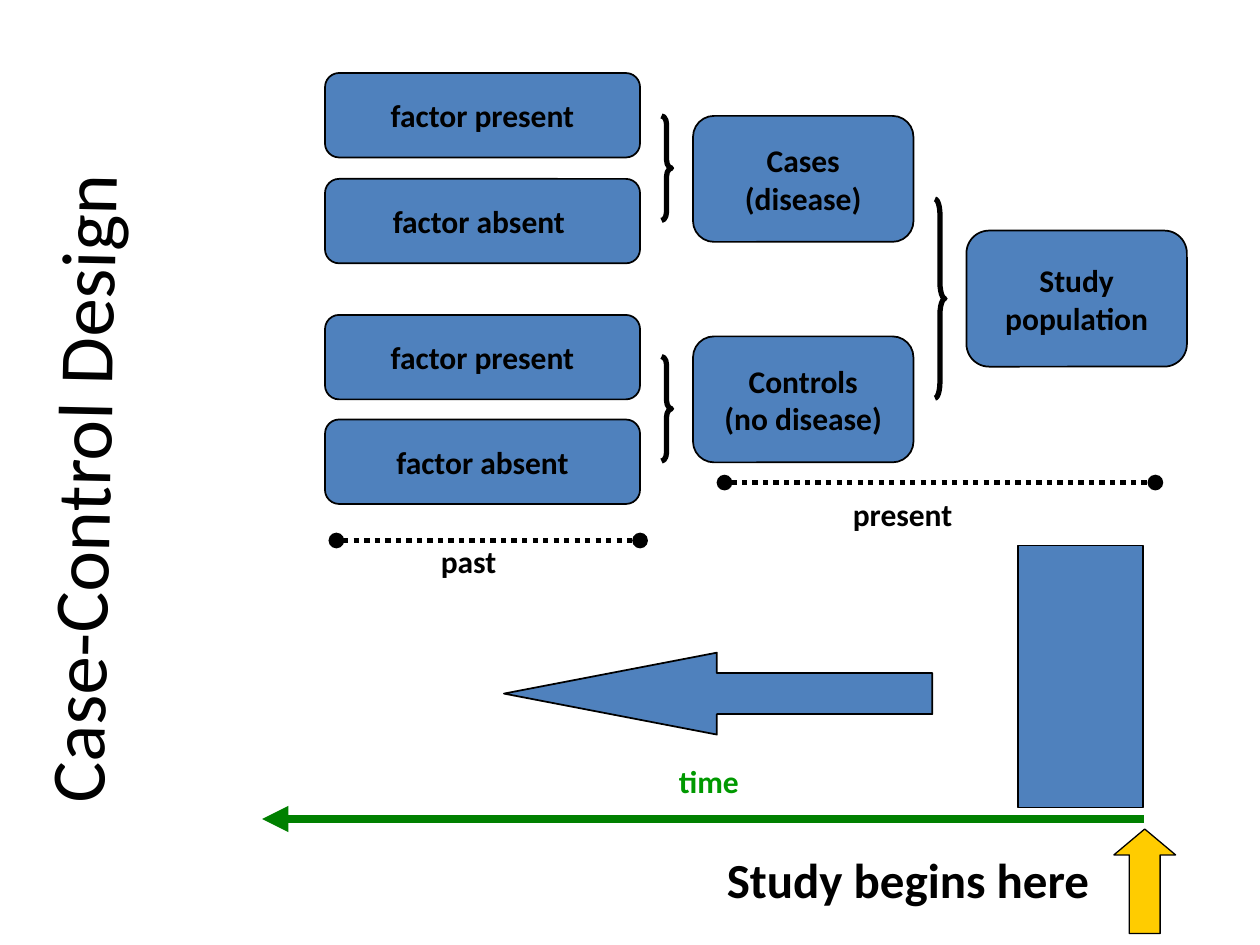
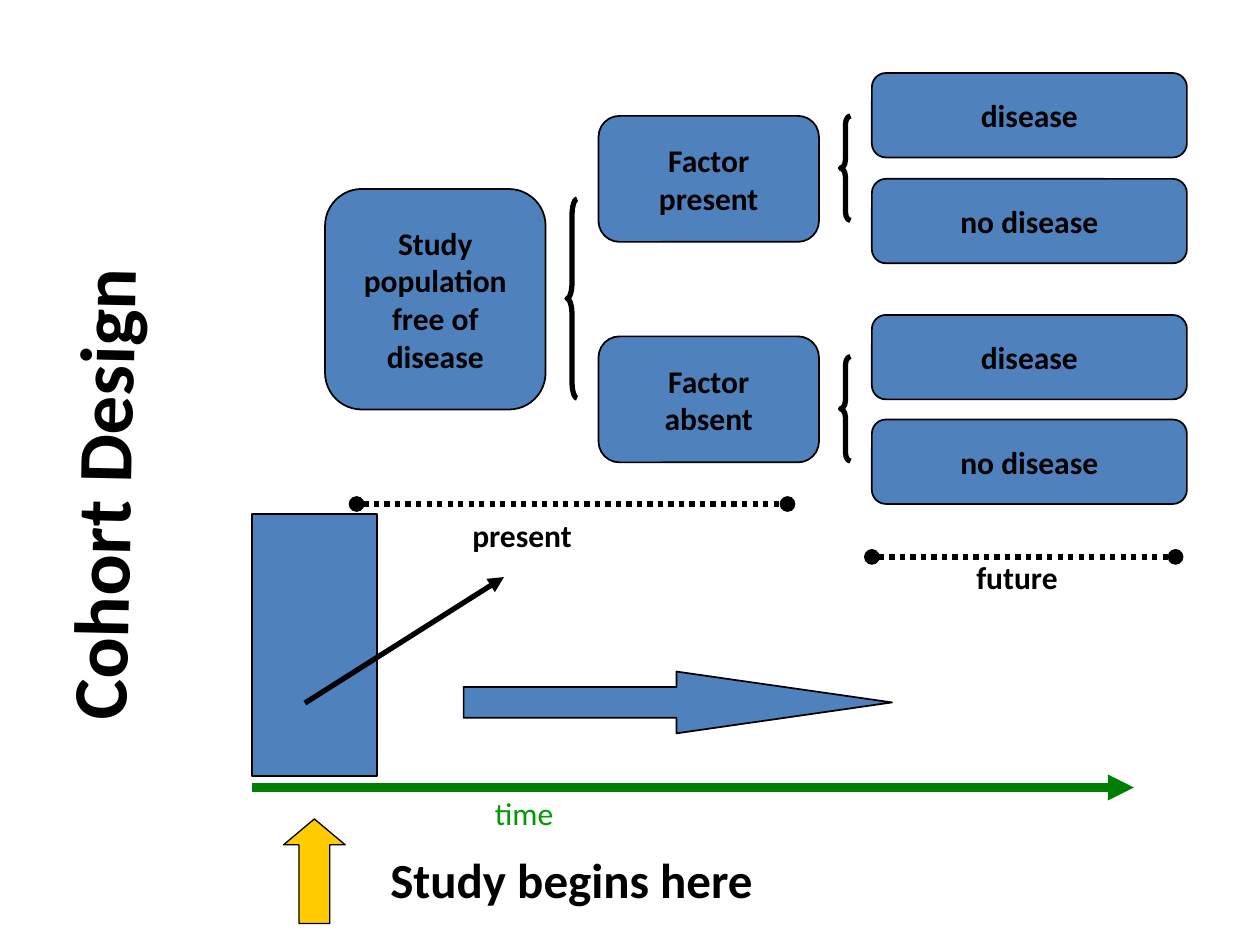
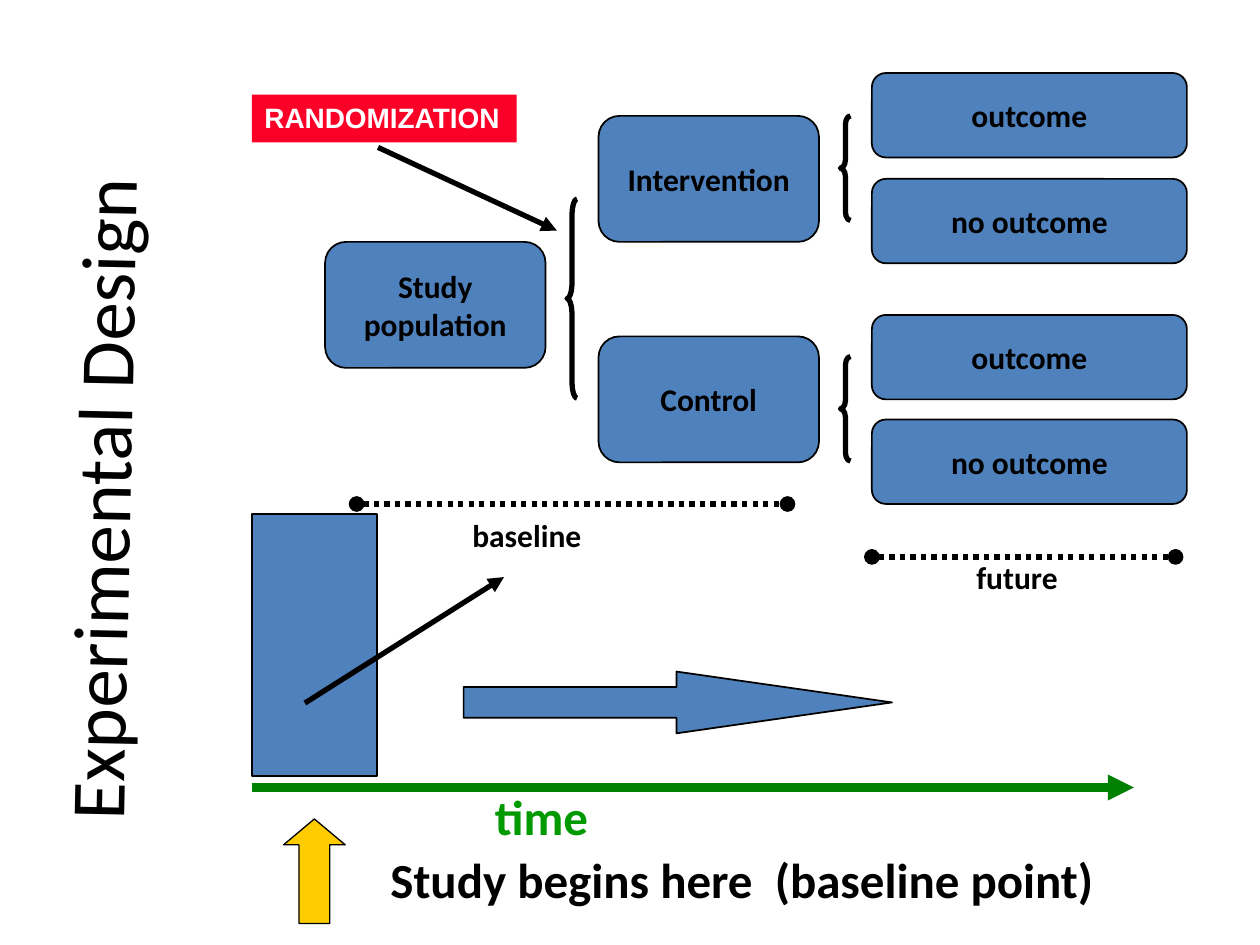
from dataclasses import dataclass

from lxml import etree
from pptx import Presentation
from pptx.dml.color import RGBColor
from pptx.enum import dml, shapes, text
from pptx.oxml.ns import qn
from pptx.util import Inches, Pt

BLACK, WHITE, BLUE = "000000", "FFFFFF", "4F81BD"
AXIS_GREEN, TIME_GREEN, GOLD, RED = "008000", "009900", "FFCC00", "FC0128"
FONT = "Calibri"
TITLE_ONLY = 5
TITLE_HEIGHT = 0.92
TITLE_ANGLE = 271.1

LEAF_TOPS = (0.58, 1.42, 2.5, 3.33)
LEAF_SIZE = (2.5, 0.67)
GROUP_TOPS = (0.92, 2.67)
GROUP_SIZE = (1.75, 1)
LEAF_BRACE_TOPS = (0.92, 2.83)
BRACE_WIDTH = 0.08
BAR_SIZE = (0.99, 2.08)
START_SIZE = (0.49, 0.83)

Shape = shapes.MSO_SHAPE


@dataclass
class Label:
    words: str
    left: float
    top: float
    width: float
    height: float = 0.5
    size: float = 18
    color: str = BLACK
    bold: bool = True
    font: str = FONT


@dataclass
class Line:
    start: tuple[float, float]
    end: tuple[float, float]
    color: str = BLACK
    width: float = 3
    head: str = ""
    tail: str = "triangle"
    dotted: bool = False


@dataclass
class Tree:
    """Study population split into two groups of two leaves each."""
    root: str
    root_top: float
    root_height: float
    groups: tuple[str, str]
    leaves: tuple[str, ...]


@dataclass
class Direction:
    """Left edges and shapes for a study that looks back or forward."""
    root_left: float
    group_left: float
    leaf_left: float
    root_brace_left: float
    leaf_brace_left: float
    brace: Shape
    arrow: Shape
    arrow_box: tuple[float, float, float, float]
    arrow_head: float
    bar: tuple[float, float]
    start: tuple[float, float]
    axis: Line
    periods: tuple[Line, Line]


def period(left: float, right: float, y: float) -> Line:
    return Line((left, y), (right, y), head="oval", tail="oval", dotted=True)


BACKWARD = Direction(
    7.67, 5.5, 2.58, 7.42, 5.25, Shape.RIGHT_BRACE, Shape.LEFT_ARROW,
    (4, 5.18, 3.4, 0.65), 2.6, (8.08, 4.33), (8.84, 6.58),
    Line((9.08, 6.5), (2.08, 6.5), AXIS_GREEN, 5),
    (period(5.75, 9.17, 3.83), period(2.67, 5.08, 4.29)))
FORWARD = Direction(
    2.58, 4.75, 6.92, 4.5, 6.67, Shape.LEFT_BRACE, Shape.RIGHT_ARROW,
    (3.68, 5.33, 3.4, 0.49), 3.49, (2, 4.08), (2.25, 6.5),
    Line((2, 6.25), (9, 6.25), AXIS_GREEN, 5),
    (period(2.83, 6.25, 4), period(6.92, 9.33, 4.42)))
BASELINE_ARROW = Line((2.42, 5.58), (4, 4.58))


def rgb(color: str) -> RGBColor:
    return RGBColor.from_string(color)


def write(frame, words: str, size: float, color: str, bold: bool,
          font: str = FONT, align=None) -> None:
    frame.text = words
    for para in frame.paragraphs:
        para.alignment = align
        para.font.name, para.font.size, para.font.bold = font, Pt(size), bold
        para.font.color.rgb = rgb(color)


def add_figure(page, kind: Shape, left: float, top: float, width: float,
               height: float, fill: str = BLUE, line_width: float = 1,
               adjust: tuple[float, ...] = ()):
    """Add a preset shape; an empty fill or zero line width leaves it out."""
    figure = page.shapes.add_shape(
        kind, Inches(left), Inches(top), Inches(width), Inches(height))
    figure.shadow.inherit = False
    if fill:
        figure.fill.solid()
        figure.fill.fore_color.rgb = rgb(fill)
    else:
        figure.fill.background()
    if line_width:
        figure.line.color.rgb = rgb(BLACK)
        figure.line.width = Pt(line_width)
    else:
        figure.line.fill.background()
    for index, value in enumerate(adjust):
        figure.adjustments[index] = value
    return figure


def add_box(page, words: str, left: float, top: float, width: float,
            height: float) -> None:
    box = add_figure(page, Shape.ROUNDED_RECTANGLE, left, top, width, height)
    frame = box.text_frame
    frame.word_wrap = False
    frame.vertical_anchor = text.MSO_ANCHOR.MIDDLE
    write(frame, words, 18, BLACK, True, align=text.PP_ALIGN.CENTER)


def add_brace(page, kind: Shape, left: float, top: float, height: float,
              curve: float) -> None:
    add_figure(page, kind, left, top, BRACE_WIDTH, height, fill="",
               line_width=3, adjust=(curve, 0.5))


def add_label(page, label: Label) -> None:
    box = page.shapes.add_textbox(Inches(label.left), Inches(label.top),
                                  Inches(label.width), Inches(label.height))
    frame = box.text_frame
    frame.word_wrap = False
    frame.auto_size = text.MSO_AUTO_SIZE.SHAPE_TO_FIT_TEXT
    write(frame, label.words, label.size, label.color, label.bold, label.font)


def add_line(page, line: Line) -> None:
    connector = page.shapes.add_connector(
        shapes.MSO_CONNECTOR.STRAIGHT,
        *(Inches(value) for value in line.start + line.end))
    connector.line.color.rgb = rgb(line.color)
    connector.line.width = Pt(line.width)
    if line.dotted:
        connector.line.dash_style = dml.MSO_LINE.ROUND_DOT
    outline = connector.line._get_or_add_ln()
    for tag, kind in (("a:headEnd", line.head), ("a:tailEnd", line.tail)):
        if kind:
            etree.SubElement(outline, qn(tag), type=kind)
    etree.SubElement(connector._element.spPr, qn("a:effectLst"))


def add_title(page, words: str, left: float, top: float, width: float,
              bold: bool = False) -> None:
    title = page.shapes.title
    title.left, title.top = Inches(left), Inches(top)
    title.width, title.height = Inches(width), Inches(TITLE_HEIGHT)
    title.rotation = TITLE_ANGLE
    title.text_frame.vertical_anchor = text.MSO_ANCHOR.MIDDLE
    write(title.text_frame, words, 44, BLACK, bold,
          align=text.PP_ALIGN.CENTER)


def add_tree(page, tree: Tree, way: Direction) -> None:
    add_box(page, tree.root, way.root_left, tree.root_top,
            GROUP_SIZE[0], tree.root_height)
    for words, top in zip(tree.groups, GROUP_TOPS):
        add_box(page, words, way.group_left, top, *GROUP_SIZE)
    for words, top in zip(tree.leaves, LEAF_TOPS):
        add_box(page, words, way.leaf_left, top, *LEAF_SIZE)
    add_brace(page, way.brace, way.root_brace_left, 1.58, 1.58, 1.58)
    for top in LEAF_BRACE_TOPS:
        add_brace(page, way.brace, way.leaf_brace_left, top, 0.83, 0.83)


def add_timeline(page, way: Direction) -> None:
    add_figure(page, Shape.RECTANGLE, *way.bar, *BAR_SIZE)
    add_line(page, way.axis)
    add_figure(page, Shape.UP_ARROW, *way.start, *START_SIZE, fill=GOLD,
               line_width=0.75, adjust=(0.5, 0.42))
    add_figure(page, way.arrow, *way.arrow_box, adjust=(0.5, way.arrow_head))
    for line in way.periods:
        add_line(page, line)


def add_design(deck, way: Direction, tree: Tree, labels: list[Label]):
    """Add a page with its timeline, tree and labels."""
    page = deck.slides.add_slide(deck.slide_layouts[TITLE_ONLY])
    add_timeline(page, way)
    add_tree(page, tree, way)
    for label in labels:
        add_label(page, label)
    return page


def case_control(deck) -> None:
    tree = Tree("Study\npopulation", 1.83, 1.08,
                ("Cases\n(disease)", "Controls\n(no disease)"),
                ("factor present", "factor absent ",
                 "factor present", "factor absent"))
    page = add_design(deck, BACKWARD, tree, [
        Label("present", 6.67, 3.88, 1.26),
        Label("past", 3.4, 4.25, 0.8),
        Label("time", 5.29, 6, 0.83, color=TIME_GREEN),
        Label("Study begins here", 5.67, 6.69, 3.16, 0.57, 28)])
    add_title(page, "Case-Control Design", -2.08, 3.42, 5.42)


def cohort(deck) -> None:
    tree = Tree("Study\npopulation\nfree of\ndisease", 1.5, 1.75,
                ("Factor\npresent", "Factor\nabsent"),
                ("disease", "no disease") * 2)
    page = add_design(deck, FORWARD, tree, [
        Label("present", 3.65, 4.05, 1.26),
        Label("future", 7.65, 4.38, 1.09),
        Label("time", 3.83, 6.25, 0.79, color=TIME_GREEN, bold=False),
        Label("Study begins here", 3, 6.69, 3.16, 0.57, 28)])
    add_title(page, "Cohort Design", -1.54, 3.46, 4.67, bold=True)
    add_line(page, BASELINE_ARROW)


def experimental(deck) -> None:
    tree = Tree("Study\npopulation", 1.92, 1, ("Intervention", "Control"),
                ("outcome", "no outcome") * 2)
    page = add_design(deck, FORWARD, tree, [
        Label("baseline", 3.65, 4.05, 1.35),
        Label("future", 7.65, 4.38, 1.09),
        Label("time", 3.83, 6.19, 0.94, 0.57, 28, TIME_GREEN),
        Label("Study begins here  (baseline point)",
              3, 6.69, 5.92, 0.57, 28)])
    add_title(page, "Experimental Design", -2.17, 3.5, 5.92)
    add_line(page, BASELINE_ARROW)
    add_figure(page, Shape.RECTANGLE, 2, 0.75, 2.1, 0.38, RED, line_width=0)
    add_label(page, Label("RANDOMIZATION", 2, 0.75, 2.09, 0.37, 16, WHITE,
                          font="Arial"))
    add_line(page, Line((3, 1.17), (4.42, 1.83)))


def main() -> None:
    deck = Presentation()
    deck.slide_width, deck.slide_height = Inches(10), Inches(7.5)
    case_control(deck)
    cohort(deck)
    experimental(deck)
    deck.save("out.pptx")


if __name__ == "__main__":
    main()
